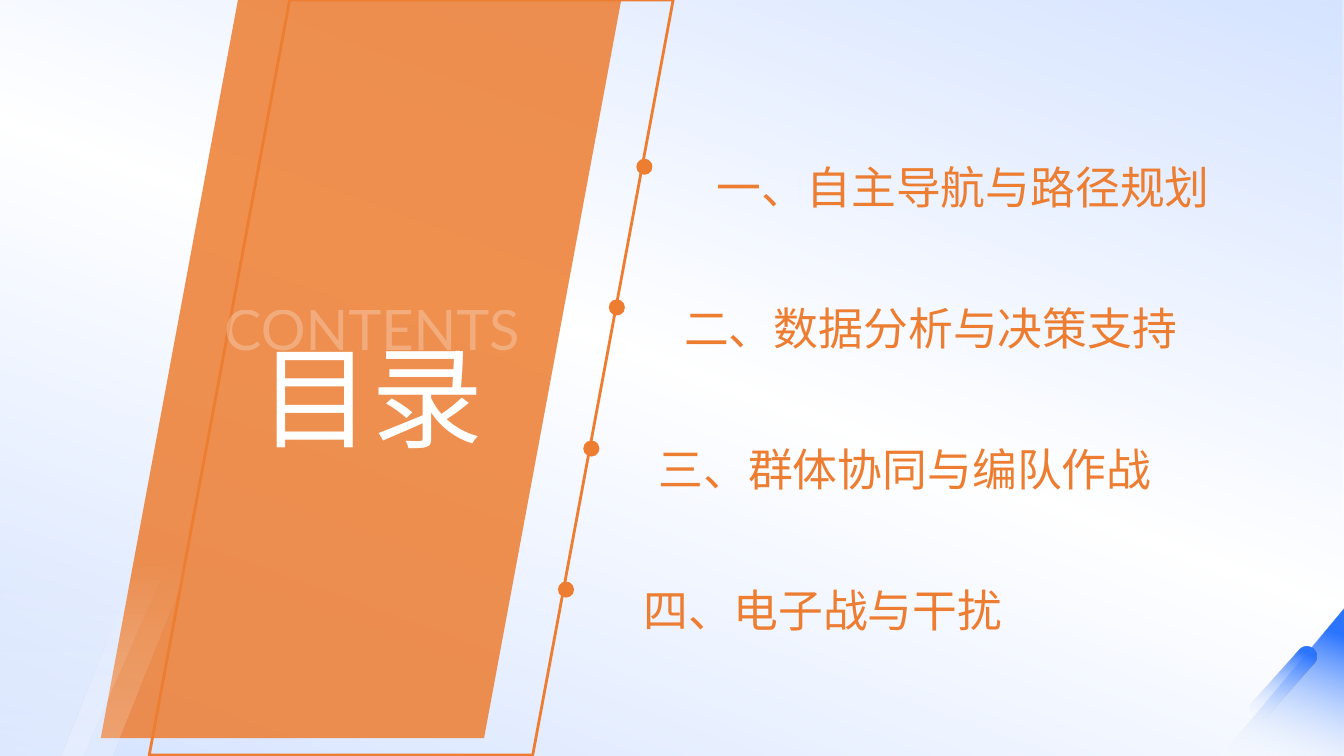
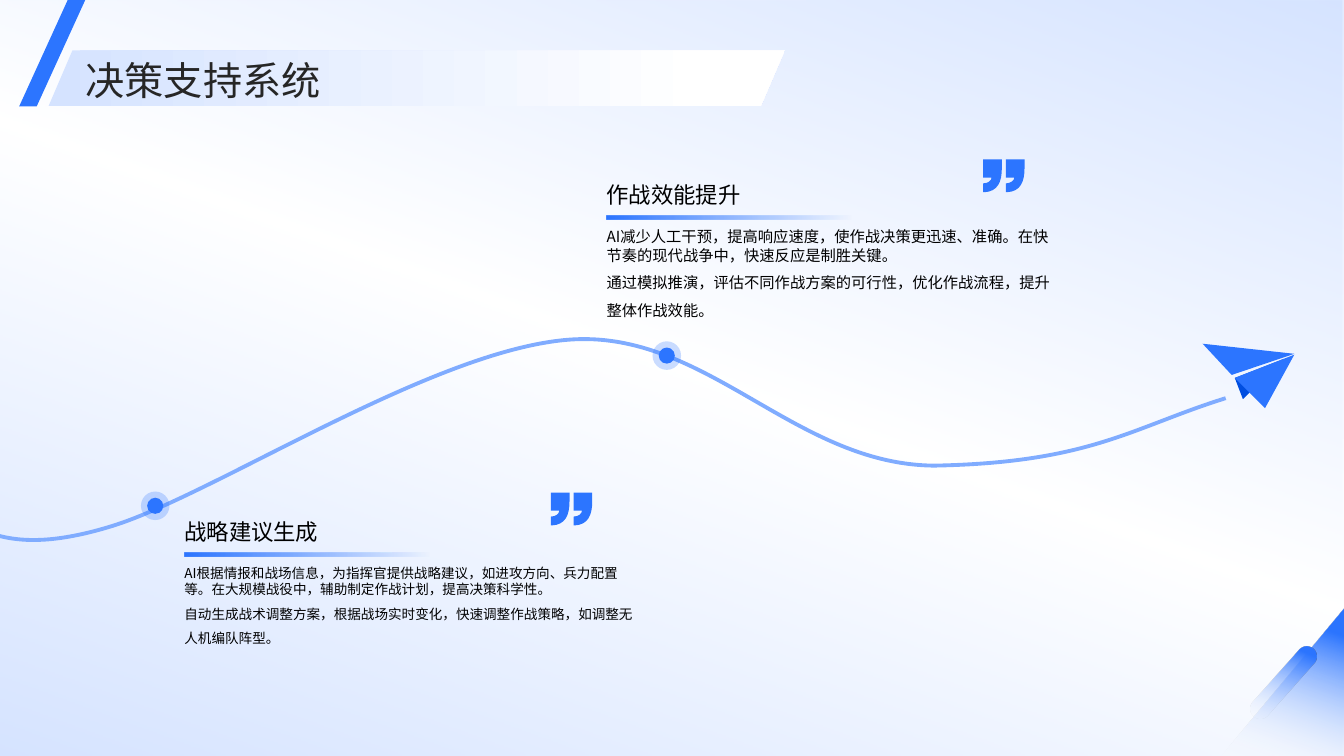
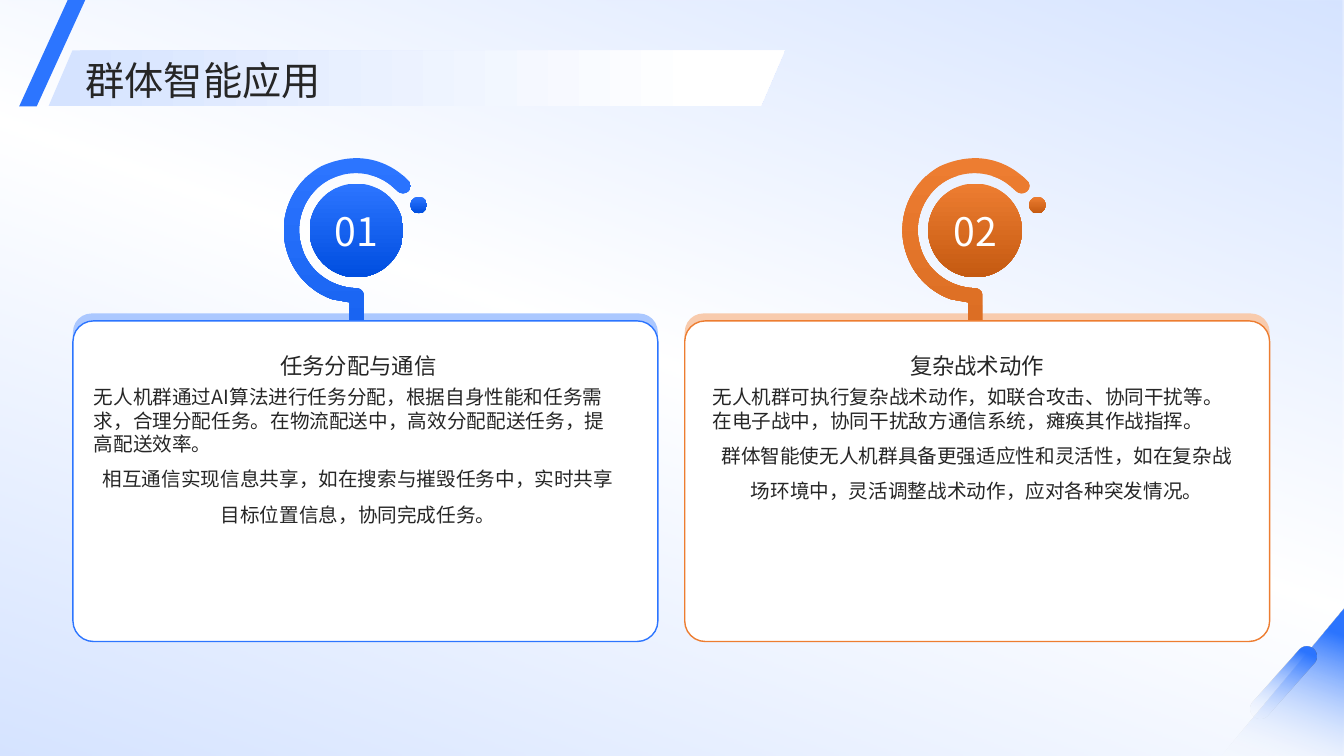
from lxml import etree
from pptx import Presentation, util as u
from pptx.dml import color
from pptx.enum import shapes, text
from pptx.oxml import ns

Pt = u.Pt
Geo = shapes.MSO_SHAPE
Al = text.PP_ALIGN
Anc = text.MSO_ANCHOR
Fit = text.MSO_AUTO_SIZE
BLUE, DEEP, PALE, WHITE = "2C75FF", "004EE0", "D5E3FF", "FFFFFF"
RUST, BURNT, INK, BLACK = "ED7D31", "C55A11", "262626", "000000"
SANS, LATO = "Noto Sans CJK SC", "Lato"
SKY = (290, (0, PALE, 100), (51, WHITE, 97), (100, PALE, 100))
FADE = (250, (0, WHITE, 0), (85, BLUE, 100))
GLOW = (90, (0, WHITE, 20), (88, WHITE, 0))
RULE = (0, (0, BLUE, 100), (75, BLUE, 0))
BAND = (0, (0, PALE, 100), (89, WHITE, 100))


def rgb(code):
    return color.RGBColor.from_string(code)


def tag(node, name, **vals):
    return etree.SubElement(node, ns.qn("a:" + name), **vals)


def veil(node, alpha):
    if alpha < 100:
        tag(node, "alpha", val=str(alpha * 1000))


def paint(fill, tone, alpha=100):
    if tone is None:
        fill.background()
    elif isinstance(tone, str):
        fill.solid()
        fill.fore_color.rgb = rgb(tone)
        veil(fill._xPr.find(".//" + ns.qn("a:srgbClr")), alpha)
    else:
        angle, *stops = tone
        fill.gradient()
        fill.gradient_angle = (360 - angle) % 360
        ramp = fill._xPr.find(".//" + ns.qn("a:gsLst"))
        for old in list(ramp):
            ramp.remove(old)
        for pos, code, clear in stops:
            stop = tag(ramp, "gs", pos=str(pos * 1000))
            veil(tag(stop, "srgbClr", val=code), clear)


def pairs(step):
    return list(zip(step[::2], step[1::2]))


def trace(steps, parts=16):
    pts = [steps[0]]
    for step in steps[1:]:
        if len(step) == 2:
            pts.append(step)
            continue
        ctrl = [pts[-1]] + pairs(step)
        for i in range(1, parts + 1):
            t = i / parts
            w = ((1 - t) ** 3, 3 * t * (1 - t) ** 2, 3 * t * t * (1 - t), t ** 3)
            pts.append(tuple(sum(k * c[d] for k, c in zip(w, ctrl)) for d in (0, 1)))
    return pts


class Deck:
    def __init__(self):
        self.prs = Presentation()
        self.prs.slide_width, self.prs.slide_height = Pt(960), Pt(540)
        self.page = None

    def slide(self):
        self.page = self.prs.slides.add_slide(self.prs.slide_layouts[6]).shapes
        self.shape(Geo.RECTANGLE, 0, 0, 960, 540, SKY)
        self.shape(Geo.RIGHT_TRIANGLE, 872.6, 434.2, 87.4, 105.8, FADE, flip="H")
        self.shape(Geo.ROUNDED_RECTANGLE, 909.4, 455.8, 14.4, 63.4, FADE, adj=0.5, turn=41.8)

    def title(self, words):
        self.shape(Geo.PARALLELOGRAM, 34.6, 36, 526, 40, BAND, adj=0.429)
        self.text(61.2, 37.1, 846, 36.7, words, 28, INK, lead=1.1, anchor=Anc.MIDDLE)
        self.shape(Geo.PARALLELOGRAM, 13.7, 0, 47.2, 76, BLUE, adj=0.735)

    def style(self, item, fill, alpha, line, width):
        item.shadow.inherit = False
        paint(item.fill, fill, alpha)
        paint(item.line.fill, line)
        if line:
            item.line.width = Pt(width)

    def shape(self, kind, x, y, w, h, fill=None, alpha=100, line=None, width=1,
              adj=None, flip="", turn=0):
        item = self.page.add_shape(kind, Pt(x), Pt(y), Pt(w), Pt(h))
        self.style(item, fill, alpha, line, width)
        if adj is not None:
            item.adjustments[0] = adj
        item.rotation = turn
        for axis in flip:
            item._element.spPr.xfrm.set("flip" + axis, "1")

    def dot(self, x, y, size, fill, alpha=100):
        self.shape(Geo.OVAL, x - size / 2, y - size / 2, size, size, fill, alpha)

    def free(self, loops, fill=None, line=None, width=1, x=0, y=0, close=True):
        pts = [(Pt(x + a), Pt(y + b)) for steps in loops for a, b in trace(steps)]
        pen = self.page.build_freeform(*pts[0])
        pen.add_line_segments(pts[1:], close=close)
        item = pen.convert_to_shape()
        route = item._element.spPr.find(".//" + ns.qn("a:path"))
        for old in list(route):
            route.remove(old)
        for steps in loops:
            for i, step in enumerate(steps):
                name = "moveTo" if i == 0 else "lnTo" if len(step) == 2 else "cubicBezTo"
                move = tag(route, name)
                for a, b in pairs(step):
                    tag(move, "pt", x=str(Pt(x + a) - item.left), y=str(Pt(y + b) - item.top))
            if close:
                tag(route, "close")
        self.style(item, fill, 100, line, width)

    def text(self, x, y, w, h, words, size, tone, alpha=100, face=SANS, lead=1.0,
             align=Al.LEFT, anchor=Anc.TOP, pad=0, fit=Fit.NONE):
        frame = self.page.add_textbox(Pt(x), Pt(y), Pt(w), Pt(h)).text_frame
        form = dict(word_wrap=True, auto_size=fit, vertical_anchor=anchor,
                    margin_left=Pt(pad), margin_right=Pt(pad),
                    margin_top=Pt(pad / 2), margin_bottom=Pt(pad / 2))
        for key, val in form.items():
            setattr(frame, key, val)
        para = frame.paragraphs[0]
        for key, val in dict(alignment=align, line_spacing=lead).items():
            setattr(para, key, val)
        run = para.add_run()
        run.text = words
        for key, val in dict(name=face, size=Pt(size)).items():
            setattr(run.font, key, val)
        paint(run.font.fill, tone, alpha)
        tag(run.font._rPr, "ea", typeface=LATO)


AGENDA = [
    (512, 460.3, 119.1, "一、自主导航与路径规划"),
    (488.7, 440.6, 219.6, "二、数据分析与决策支持"),
    (470.4, 422.4, 320.4, "三、群体协同与编队作战"),
    (459.9, 404.3, 421.1, "四、电子战与干扰"),
]
WAVE = [(-28.1, 369.4), (-36.7, 366.5, -46.1, 373.7, -28.1, 375.1),
        (-10, 375.8, 7.2, 398.2, 79.9, 375.8),
        (152.6, 353.5, 308.9, 249.8, 406.8, 242.6),
        (504.7, 235.4, 567.4, 331.9, 667.4, 332.6),
        (779, 330.5, 808.6, 305.3, 875.5, 284.4)]
QUOTE = [(0, 0), (13.3, 0), (13.3, 6.2), (13.3, 16, 10.5, 23, 0.7, 23.5), (0, 23.5),
         (0, 17.2), (3.5, 17.2, 6, 15, 6, 13), (0, 13)]
QUOTES = [[(step[0] + dx, step[1]) if len(step) == 2 else
           tuple(v + dx * (i % 2 == 0) for i, v in enumerate(step)) for step in QUOTE]
          for dx in (0, 16.2)]
PLANE = [
    (BLUE, [(859, 245.5), (924.5, 252.7), (879.8, 267.8)]),
    (DEEP, [(917.3, 256.3), (887.8, 285.1), (882, 270)]),
    (BLUE, [(924.5, 253.4), (903.6, 291.6), (882, 270)]),
]
RING = [(0, 0), (13.7, 0, 27.4, 5.8, 37.5, 16.6), (38.2, 17.3),
        (38.9, 18, 39.2, 18.8, 38.9, 19.8), (38.9, 23, 36, 25.2, 33.1, 25.2),
        (31.7, 25.2, 30.2, 24.5, 29.5, 23.8), (24.5, 19.4),
        (12.2, 9.4, -5.8, 7.9, -20.2, 15.8), (-36, 24.5, -44.6, 43.9, -39.6, 61.9),
        (-35.3, 79.9, -18.7, 92.2, -0.7, 92.9), (0, 92.9),
        (2.2, 92.9, 5, 95, 5, 97.2), (5, 256.3), (5, 259.2, 2.2, 261.4, 0, 261.4),
        (-2.9, 261.4, -5, 259.2, -5, 256.3), (-5, 103), (-17.3, 100.8),
        (-33.8, 95, -46.1, 81.4, -50.4, 64.1), (-56.2, 41.8, -46.1, 17.3, -25.2, 5.8),
        (-17.3, 2.2, -8.6, 0, 0, 0)]
NOTES = [
    (124.6, 392.9, 393.5, 351.8, 110.9, 361.3, 9.7, "战略建议生成",
     "AI根据情报和战场信息，为指挥官提供战略建议，如进攻方向、兵力配置等。在大规模战役中，辅助制定作战计划，提高决策科学性。\n"
     "自动生成战术调整方案，根据战场实时变化，快速调整作战策略，如调整无人机编队阵型。"),
    (426.2, 152, 702.3, 113.8, 476.3, 254, 10.9, "作战效能提升",
     "AI减少人工干预，提高响应速度，使作战决策更迅速、准确。在快节奏的现代战争中，快速反应是制胜关键。\n"
     "通过模拟推演，评估不同作战方案的可行性，优化作战流程，提升整体作战效能。"),
]
CARDS = [
    (52.1, 67, BLUE, DEEP, "ABC8FF", "01", "任务分配与通信",
     "无人机群通过AI算法进行任务分配，根据自身性能和任务需求，合理分配任务。在物流配送中，高效分配配送任务，提高配送效率。\n"
     "相互通信实现信息共享，如在搜索与摧毁任务中，实时共享目标位置信息，协同完成任务。"),
    (489.1, 508.9, RUST, BURNT, "F8CBAD", "02", "复杂战术动作",
     "无人机群可执行复杂战术动作，如联合攻击、协同干扰等。在电子战中，协同干扰敌方通信系统，瘫痪其作战指挥。\n"
     "群体智能使无人机群具备更强适应性和灵活性，如在复杂战场环境中，灵活调整战术动作，应对各种突发情况。"),
]


def contents(deck):
    deck.slide()
    deck.shape(Geo.PARALLELOGRAM, 106.6, 0, 374.2, 539.3, line=RUST, width=2, adj=0.268)
    for x, spot, y, words in AGENDA:
        deck.text(x, y - 16.2, 906 - x, 78, words, 32, RUST, face=LATO, lead=1.3)
    for x, spot, y, words in AGENDA:
        deck.dot(spot, y, 11.5, RUST)
    deck.shape(Geo.PARALLELOGRAM, 72, -12, 374, 539.3, RUST, 85, adj=0.268)
    for y, h, words, size, alpha in ((229.7, 95, "目录", 80, 100), (206.6, 51.1, "CONTENTS", 40, 25)):
        deck.text(65.5, y, 400.3, h, words, size, WHITE, alpha, LATO, 1.1, Al.CENTER,
                  Anc.MIDDLE, 7.2, Fit.SHAPE_TO_FIT_TEXT)
    for x, w, adj in ((-48.2, 175.7, 0.438), (43.9, 98.6, 0.629)):
        deck.shape(Geo.PARALLELOGRAM, x, 384.4, w, 155.5, GLOW, adj=adj, flip="HV")


def support(deck):
    deck.slide()
    deck.free([WAVE], line="80ACFF", width=2.75, close=False)
    for x, foot, mark, top, dx, dy, size, head, words in NOTES:
        deck.text(x, foot + 7, 339.1, 82.8, words, size, BLACK, lead=1.5, pad=7.2)
        deck.text(x, foot - 36.4, 255.6, 36.4, head, 16, BLACK, lead=1.3,
                  anchor=Anc.BOTTOM, pad=7.2)
    for x, foot, mark, top, dx, dy, *rest in NOTES:
        deck.dot(dx, dy, 20.4, BLUE, 25)
        deck.dot(dx, dy, 11.5, BLUE)
        deck.free(QUOTES, BLUE, x=mark, y=top)
        deck.shape(Geo.RECTANGLE, x + 7.2, foot + 1.7, 233.3, 3, RULE)
    for tone, pts in PLANE:
        deck.free([pts], tone)
    deck.title("决策支持系统")


def swarm(deck):
    deck.slide()
    for x, left, tone, dark, tint, num, head, words in CARDS:
        mid = left + 188
        shade = (90, (0, tone, 100), (100, dark, 100))
        deck.shape(Geo.ROUNDED_RECTANGLE, x, 223.9, 417.8, 208.1, tint, adj=0.064)
        deck.free([RING], shade, x=mid - 0.3, y=113)
        deck.dot(mid - 0.4, 164.6, 67, shade)
        deck.shape(Geo.ROUNDED_RECTANGLE, x, 229.2, 417.8, 229, WHITE, line=tone, adj=0.064)
        deck.text(left, 242.6, 378, 28.1, head, 16, INK, align=Al.CENTER, anchor=Anc.BOTTOM)
        deck.text(left, 275, 377.8, 172.8, words, 14, INK, lead=1.5, align=Al.CENTER)
        deck.text(mid - 32, 142.3, 63.4, 45.4, num, 28, WHITE, align=Al.CENTER, anchor=Anc.MIDDLE)
        deck.dot(mid + 44.1, 146.4, 12, shade)
    deck.title("群体智能应用")


def main():
    deck = Deck()
    for build in (contents, support, swarm):
        build(deck)
    deck.prs.save("out.pptx")


if __name__ == "__main__":
    main()
